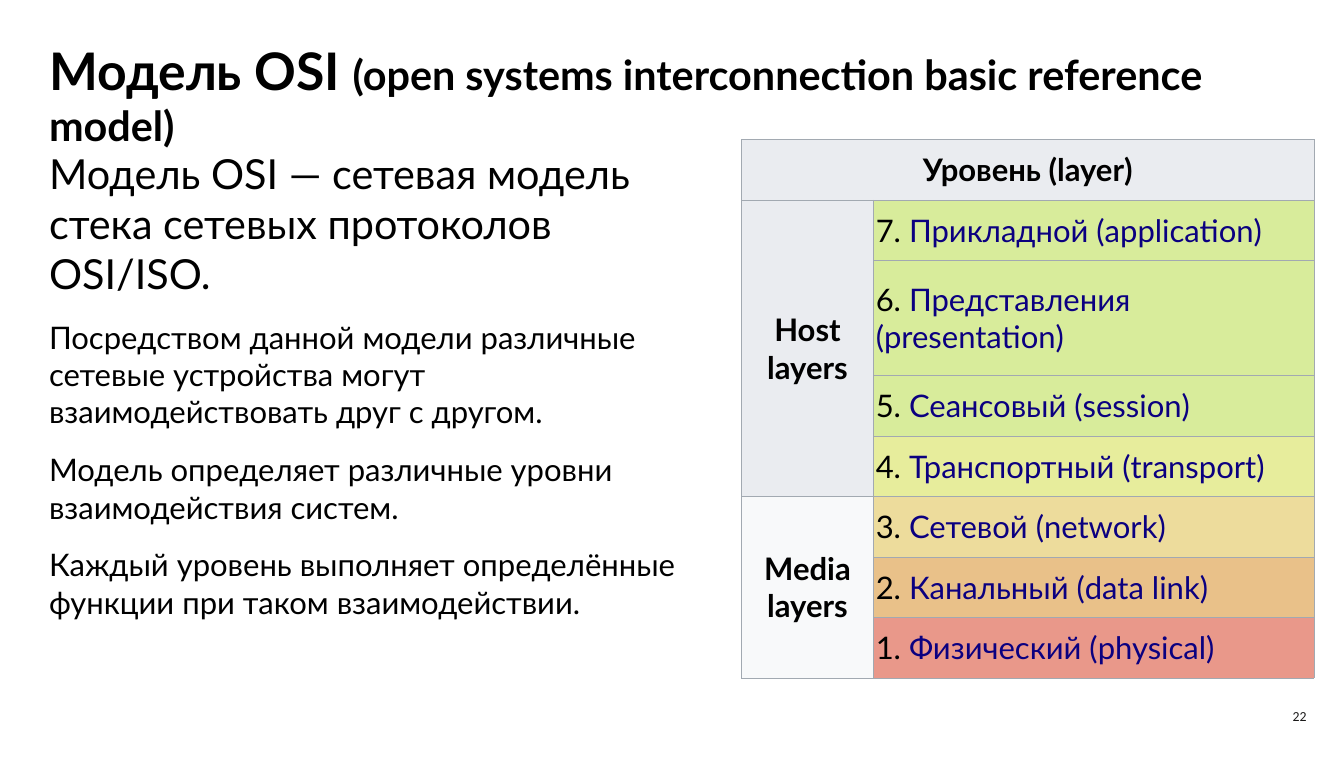
from lxml import etree
from pptx import Presentation
from pptx.dml.color import RGBColor
from pptx.enum.text import MSO_ANCHOR, PP_ALIGN
from pptx.oxml.ns import qn
from pptx.util import Inches, Pt

MIDDLE = MSO_ANCHOR.MIDDLE
LEFT, CENTER, RIGHT = PP_ALIGN.LEFT, PP_ALIGN.CENTER, PP_ALIGN.RIGHT

COLORS = {
    "text": "000000", "link": "0B0080", "number": "1A1919", "border": "A2A9B1",
    "header": "EAECF0", "media": "F8F9FA", "host": "D8EC9B", "transport": "E7ED9C",
    "network": "EDDC9C", "data_link": "E9C189", "physical": "E9988A",
}

TITLE = [("Модель OSI ", 60), ("(open systems interconnection basic reference model)", 48)]
BODY = [
    ("Модель OSI — сетевая модель стека сетевых протоколов OSI/ISO.", 48),
    ("Посредством данной модели различные сетевые устройства могут "
     "взаимодействовать друг с другом.", 36),
    ("Модель определяет различные уровни взаимодействия систем.", 36),
    ("Каждый уровень выполняет определённые функции при таком взаимодействии.", 36),
]
LAYERS = [
    ("Прикладной (application)", "host"),
    ("Представления (presentation)", "host"),
    ("Сеансовый (session)", "host"),
    ("Транспортный (transport)", "transport"),
    ("Сетевой (network)", "network"),
    ("Канальный (data link)", "data_link"),
    ("Физический (physical)", "physical"),
]
GROUPS = [("Host\vlayers", 1, 4, "header"), ("Media\vlayers", 5, 7, "media")]
GROUP_WIDTH = 2.12
TALL_ROW, TALL_ROW_HEIGHT = 2, 1.85
CM_PER_INCH = 2.54


def rgb(name):
    return RGBColor.from_string(COLORS[name])


def set_font(font, size, color="text", bold=False, name="Lato"):
    font.name, font.size, font.bold = name, Pt(size), bold
    font.color.rgb = rgb(color)


def add_text_frame(s, box, inset=0):
    tf = s.shapes.add_textbox(*map(Inches, box)).text_frame
    tf.word_wrap = True
    tf.margin_left = tf.margin_right = Inches(inset)
    tf.margin_top = tf.margin_bottom = Inches(inset / 2)
    return tf


def add_title(s, box):
    p = add_text_frame(s, box).paragraphs[0]
    for text, size in TITLE:
        r = p.add_run()
        r.text = text
        set_font(r.font, size, bold=True)


def add_body(s, box):
    tf = add_text_frame(s, box)
    for i, (text, size) in enumerate(BODY):
        p = tf.add_paragraph() if i else tf.paragraphs[0]
        p.text = text
        if i:
            p.space_before = Pt(24)
        set_font(p.font, size)


def add_slide_number(s, box):
    tf = add_text_frame(s, box, inset=0.1)
    tf.vertical_anchor = MIDDLE
    p = tf.paragraphs[0]
    p.text = "22"
    p.alignment = RIGHT
    set_font(p.font, 16, "number", name="Calibri")


def style_cell(cell, fill):
    tcPr = cell._tc.get_or_add_tcPr()
    for side in ("lnL", "lnR", "lnT", "lnB"):
        ln = etree.SubElement(tcPr, qn(f"a:{side}"), w=str(Pt(0.75)))
        solid = etree.SubElement(ln, qn("a:solidFill"))
        etree.SubElement(solid, qn("a:srgbClr"), val=COLORS["border"])
    cell.fill.solid()
    cell.fill.fore_color.rgb = rgb(fill)
    cell.vertical_anchor = MIDDLE
    cell.margin_left = cell.margin_right = Inches(0.04)
    cell.margin_top = cell.margin_bottom = Inches(0.02)


def write_heading(cell, text):
    p = cell.text_frame.paragraphs[0]
    p.text = text
    p.alignment = CENTER
    set_font(p.font, 36, bold=True)


def write_layer(cell, number, name):
    p = cell.text_frame.paragraphs[0]
    p.alignment = LEFT
    for text, color in ((f"{number}. ", "text"), (name, "link")):
        r = p.add_run()
        r.text = text
        set_font(r.font, 36, color)


def add_layer_table(s, box):
    width, height = box[2:]
    rows = len(LAYERS) + 1
    row_height = (height - TALL_ROW_HEIGHT) / (rows - 1)
    table = s.shapes.add_table(rows, 2, *map(Inches, box)).table
    table.first_row = table.horz_banding = False
    table.columns[0].width = Inches(GROUP_WIDTH)
    table.columns[1].width = Inches(width - GROUP_WIDTH)
    for i, row in enumerate(table.rows):
        row.height = Inches(TALL_ROW_HEIGHT if i == TALL_ROW else row_height)

    for c in range(2):
        style_cell(table.cell(0, c), "header")
    table.cell(0, 0).merge(table.cell(0, 1))
    write_heading(table.cell(0, 0), "Уровень (layer)")

    for text, first, last, fill in GROUPS:
        for i in range(first, last + 1):
            style_cell(table.cell(i, 0), fill)
        table.cell(first, 0).merge(table.cell(last, 0))
        write_heading(table.cell(first, 0), text)

    for i, (name, fill) in enumerate(LAYERS, 1):
        style_cell(table.cell(i, 1), fill)
        write_layer(table.cell(i, 1), rows - i, name)


def main():
    prs = Presentation()
    prs.slide_width = Inches(55 / CM_PER_INCH)
    prs.slide_height = Inches(31 / CM_PER_INCH)
    s = prs.slides.add_slide(prs.slide_layouts[6])
    add_slide_number(s, (19.98, 11.29, 1.17, 0.47))
    add_title(s, (0.79, 0.62, 19.3, 1))
    add_layer_table(s, (11.95, 2.25, 9.22, 8.67))
    add_body(s, (0.79, 2.39, 10.27, 6.8))
    prs.save("out.pptx")


if __name__ == "__main__":
    main()
